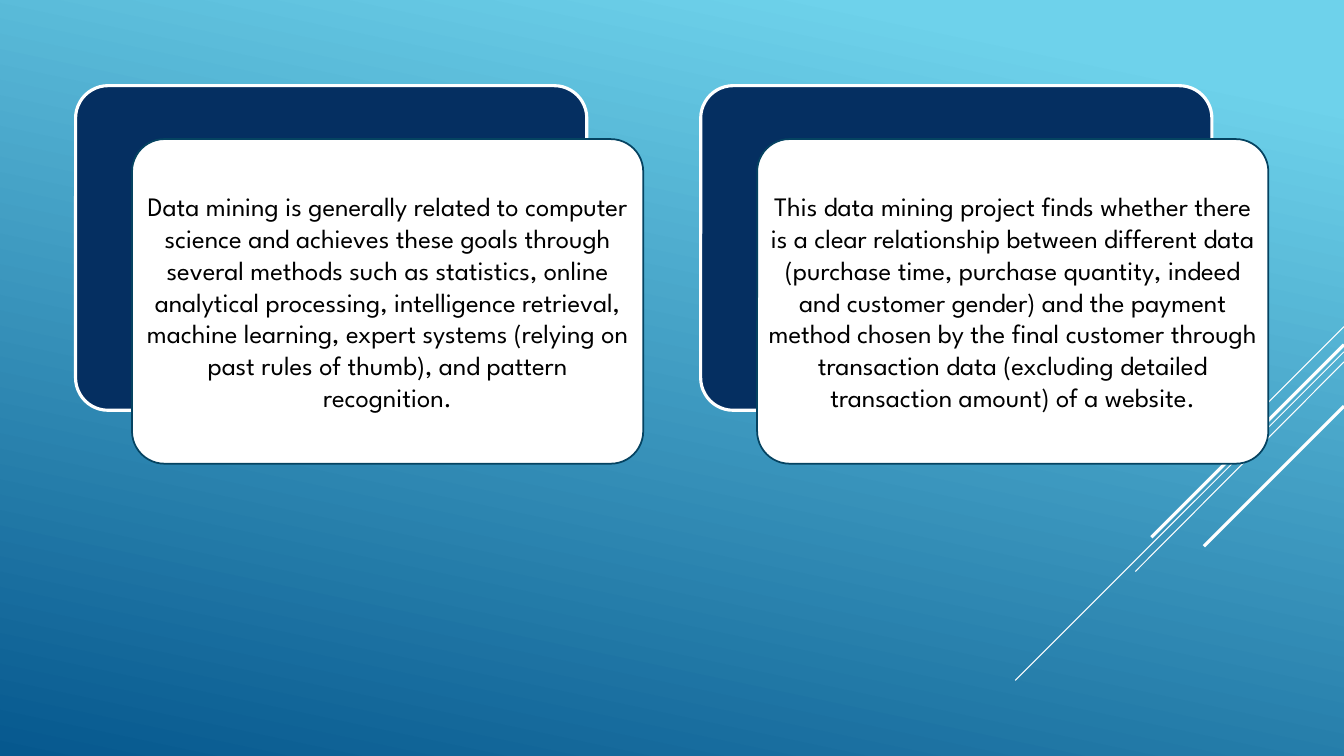
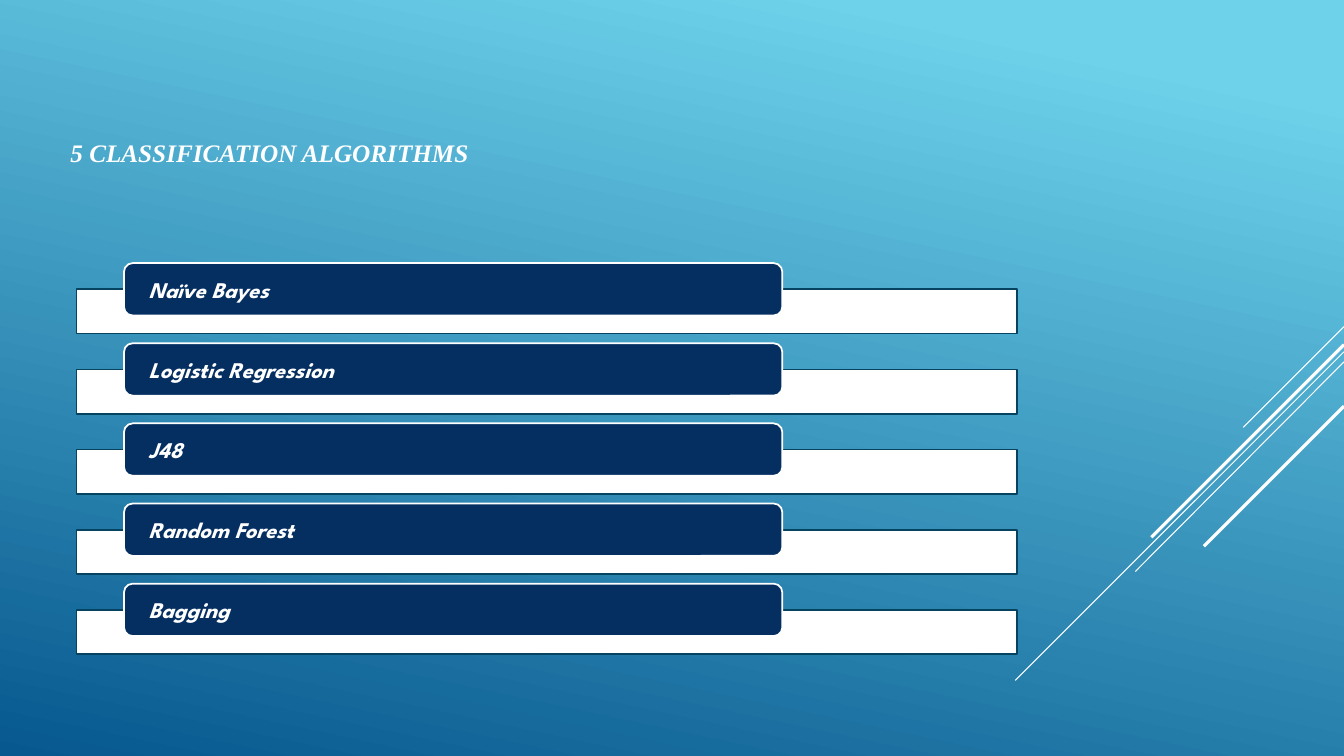
from lxml.etree import SubElement
from pptx import Presentation
from pptx.dml.color import RGBColor
from pptx.enum.shapes import MSO_CONNECTOR, MSO_SHAPE
from pptx.enum.text import MSO_ANCHOR, PP_ALIGN
from pptx.oxml.ns import qn
from pptx.util import Inches, Pt

COLORS = {
    "sky": "6ED2EB",
    "ocean": "06588E",
    "navy": "052F61",
    "outline": "054361",
    "white": "FFFFFF",
    "black": "000000",
}
BODY_FONT = "League Spartan"
TITLE_FONT = "Times New Roman"
SLIDE_WIDTH, SLIDE_HEIGHT = 13.33, 7.5
RAYS = [
    (3.24, 12.33, 4.24, 0.75),
    (3.49, 10.07, 6.75, 0.75),
    (3.59, 11.26, 5.67, 0.75),
    (3.42, 11.42, 5.33, 2.25),
    (4.03, 11.94, 5.42, 2.25),
]
CARDS = [
    "Data mining is generally related to computer science and achieves these goals "
    "through several methods such as statistics, online analytical processing, "
    "intelligence retrieval, machine learning, expert systems (relying on past rules "
    "of thumb), and pattern recognition.",
    "This data mining project finds whether there is a clear relationship between "
    "different data (purchase time, purchase quantity, indeed and customer gender) "
    "and the payment method chosen by the final customer through transaction data "
    "(excluding detailed transaction amount) of a website.",
]
ALGORITHMS = ["Naïve Bayes", "Logistic Regression", "J48", "Random Forest", "Bagging"]


def write_text(shape, text, size, color, font=BODY_FONT, emphasis=False,
               align=PP_ALIGN.LEFT, side=0, bottom=0):
    frame = shape.text_frame
    frame.word_wrap = True
    frame.vertical_anchor = MSO_ANCHOR.MIDDLE
    frame.margin_left = frame.margin_right = Inches(side)
    frame.margin_top, frame.margin_bottom = 0, Inches(bottom)
    paragraph = frame.paragraphs[0]
    paragraph.alignment = align
    run = paragraph.add_run()
    run.text = text
    run.font.name = font
    run.font.size = Pt(size)
    run.font.bold = run.font.italic = emphasis
    run.font.color.rgb = RGBColor.from_string(COLORS[color])


def add_box(slide, kind, left, top, width, height, fill, line, line_width):
    shape = slide.shapes.add_shape(
        kind, Inches(left), Inches(top), Inches(width), Inches(height))
    shape.shadow.inherit = False
    shape.fill.solid()
    shape.fill.fore_color.rgb = RGBColor.from_string(COLORS[fill])
    shape.line.color.rgb = RGBColor.from_string(COLORS[line])
    shape.line.width = Pt(line_width)
    return shape


presentation = Presentation()
presentation.slide_width = Inches(SLIDE_WIDTH)
presentation.slide_height = Inches(SLIDE_HEIGHT)

background = presentation.slide_master.background.fill
background.gradient()
background.gradient_angle = 258
for stop, position, color in zip(background.gradient_stops, (0.1, 1), ("sky", "ocean")):
    stop.position = position
    stop.color.rgb = RGBColor.from_string(COLORS[color])

blank_layout = presentation.slide_layouts[6]
cards_slide, algorithms_slide = [
    presentation.slides.add_slide(blank_layout) for _ in range(2)]

for slide in (cards_slide, algorithms_slide):
    for start_y, end_x, end_y, width in RAYS:
        ray = slide.shapes.add_connector(
            MSO_CONNECTOR.STRAIGHT, Inches(SLIDE_WIDTH), Inches(start_y),
            Inches(end_x), Inches(end_y))
        ray.line.color.rgb = RGBColor.from_string(COLORS["white"])
        ray.line.width = Pt(width)
        SubElement(ray._element.spPr, qn("a:effectLst"))

card_width, card_height = 5.07, 3.22
for index, text in enumerate(CARDS):
    left, top = 0.75 + index * 6.2, 0.85
    back = add_box(cards_slide, MSO_SHAPE.ROUNDED_RECTANGLE, left, top,
                   card_width, card_height, "navy", "white", 2.25)
    front = add_box(cards_slide, MSO_SHAPE.ROUNDED_RECTANGLE, left + 0.56, top + 0.53,
                    card_width, card_height, "white", "outline", 1.25)
    back.adjustments[0] = front.adjustments[0] = 0.1
    write_text(front, text, 19, "black", align=PP_ALIGN.CENTER)

title = algorithms_slide.shapes.add_textbox(
    Inches(0.6), Inches(0.97), Inches(9.33), Inches(1.65))
write_text(title, "5 CLASSIFICATION ALGORITHMS", 18, "white", font=TITLE_FONT,
           emphasis=True, side=0.1, bottom=0.57)

row_pitch = (6.05 - 2.87) / (len(ALGORITHMS) - 1)
for index, name in enumerate(ALGORITHMS):
    top = 2.87 + index * row_pitch
    add_box(algorithms_slide, MSO_SHAPE.RECTANGLE, 0.76, top, 9.33, 0.44,
            "white", "outline", 1.25)
    label = add_box(algorithms_slide, MSO_SHAPE.ROUNDED_RECTANGLE, 1.23, top - 0.26,
                    6.53, 0.52, "navy", "white", 1.25)
    write_text(label, name, 16, "white", emphasis=True, side=0.22)

presentation.save("out.pptx")
